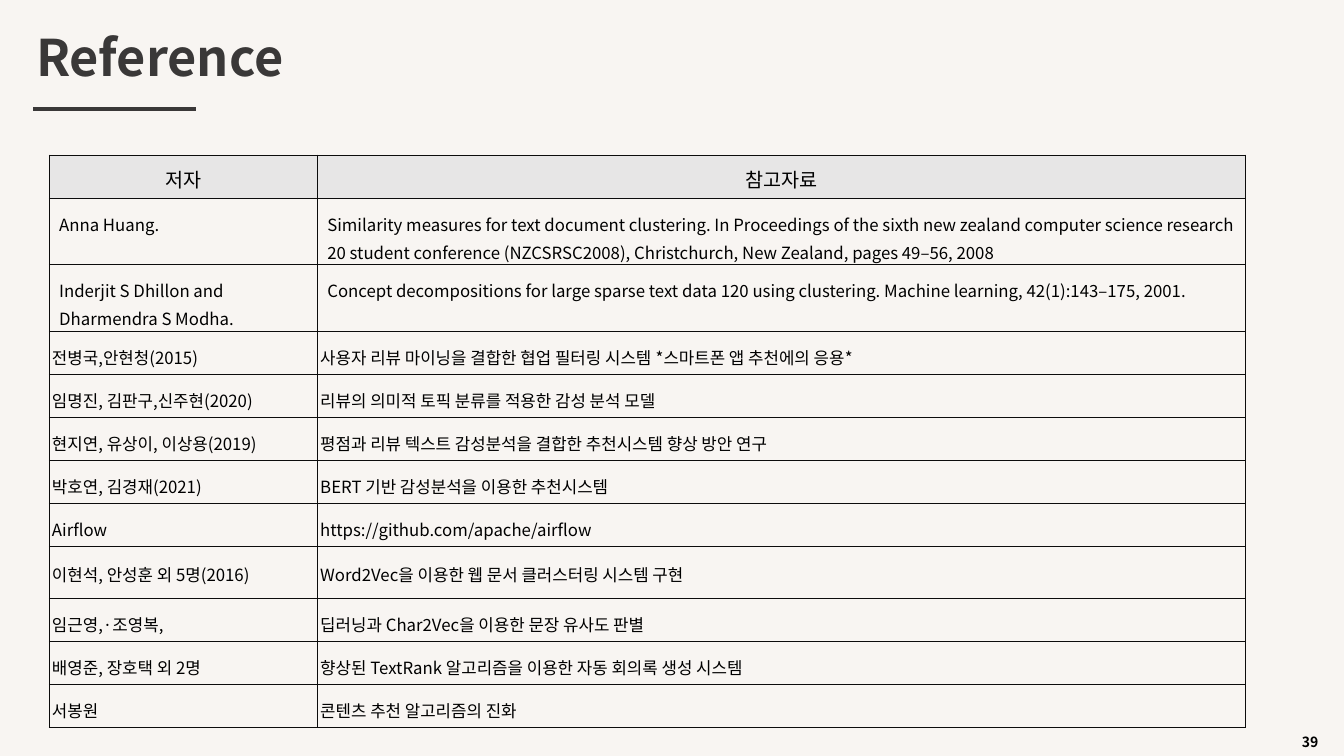
from lxml.etree import SubElement
from pptx import Presentation
from pptx.dml.color import RGBColor
from pptx.enum.shapes import MSO_CONNECTOR
from pptx.enum.text import MSO_ANCHOR, PP_ALIGN
from pptx.oxml import parse_xml
from pptx.oxml.ns import nsdecls, qn
from pptx.util import Cm, Pt

FONT = "Noto Sans CJK KR"
DARK = "3A3838"
BLACK = "000000"


def rgb(hex_color):
    return RGBColor.from_string(hex_color)


def write(frame, text, size, color=BLACK, bold=False, spacing=None):
    """Fill a text frame with one paragraph, in FONT for Latin and Korean."""
    frame.word_wrap = True
    paragraph = frame.paragraphs[0]
    paragraph.text = text
    if spacing:
        paragraph.line_spacing = spacing
    font = paragraph.font
    font.size, font.bold, font.name = Pt(size), bold, FONT
    font.color.rgb = rgb(color)
    defaults = paragraph._p.pPr.find(qn("a:defRPr"))
    SubElement(defaults, qn("a:ea")).set("typeface", FONT)
    return paragraph


presentation = Presentation()
presentation.slide_width = Cm(33.87)
presentation.slide_height = Cm(19.05)
slide = presentation.slides.add_slide(presentation.slide_layouts[6])
slide.background.fill.solid()
slide.background.fill.fore_color.rgb = rgb("F8F5F2")

# Page number and title
page_number = slide.shapes.add_textbox(Cm(32.56), Cm(18.36), Cm(1.3), Cm(0.69))
write(page_number.text_frame, "39", 10, bold=True)

title = slide.shapes.add_textbox(Cm(0.66), Cm(0.71), Cm(22.02), Cm(2.26))
write(title.text_frame, "Reference", 36, DARK, bold=True, spacing=0.9)

title_rule = slide.shapes.add_connector(
    MSO_CONNECTOR.STRAIGHT, Cm(0.84), Cm(2.74), Cm(4.95), Cm(2.74))
title_rule.line.color.rgb = rgb(DARK)
title_rule.line.width = Pt(2.75)
SubElement(title_rule._element.spPr, qn("a:effectLst"))

# Reference table: row height in cm, author, source
references = [
    (1.09, "저자", "참고자료"),
    (1.3, "Anna Huang.",
     "Similarity measures for text document clustering. In Proceedings of the sixth "
     "new zealand computer science research 20 student conference (NZCSRSC2008), "
     "Christchurch, New Zealand, pages 49–56, 2008"),
    (1.47, "Inderjit S Dhillon and Dharmendra S Modha.",
     "Concept decompositions for large sparse text data 120 using clustering. "
     "Machine learning, 42(1):143–175, 2001."),
    (1.07, "전병국,안현청(2015)",
     "사용자 리뷰 마이닝을 결합한 협업 필터링 시스템 *스마트폰 앱 추천에의 응용*"),
    (1.07, "임명진, 김판구,신주현(2020)", "리뷰의 의미적 토픽 분류를 적용한 감성 분석 모델"),
    (1.07, "현지연, 유상이, 이상용(2019)",
     "평점과 리뷰 텍스트 감성분석을 결합한 추천시스템 향상 방안 연구"),
    (1.07, "박호연, 김경재(2021)", "BERT 기반 감성분석을 이용한 추천시스템"),
    (1.07, "Airflow", "https://github.com/apache/airflow"),
    (1.32, "이현석, 안성훈 외 5명(2016)", "Word2Vec을 이용한 웹 문서 클러스터링 시스템 구현"),
    (0.94, "임근영,·조영복,", "딥러닝과 Char2Vec을 이용한 문장 유사도 판별"),
    (0.94, "배영준, 장호택 외 2명", "향상된 TextRank 알고리즘을 이용한 자동 회의록 생성 시스템"),
    (0.94, "서봉원", "콘텐츠 추천 알고리즘의 진화"),
]
total_height = sum(height for height, *_ in references)
table = slide.shapes.add_table(
    len(references), 2, Cm(1.24), Cm(3.91), Cm(30.15), Cm(total_height)).table
table.first_row = table.horz_banding = False
table.columns[0].width = Cm(6.76)
table.columns[1].width = Cm(23.39)

for row, (height, *texts) in enumerate(references):
    table.rows[row].height = Cm(height)
    is_header = row == 0
    is_compact = row > 2
    for column, text in enumerate(texts):
        cell = table.cell(row, column)
        cell.margin_top = cell.margin_bottom = Cm(0.25)
        cell.margin_left = cell.margin_right = Cm(0.07 if is_compact else 0.25)
        cell.vertical_anchor = MSO_ANCHOR.MIDDLE if is_compact else MSO_ANCHOR.TOP
        entry = write(cell.text_frame, text, 14 if is_header else 12,
                      spacing=None if is_header else 1.15)
        properties = cell._tc.get_or_add_tcPr()
        for edge in ("lnL", "lnR", "lnT", "lnB"):
            properties.append(parse_xml(
                f'<a:{edge} {nsdecls("a")} w="{Pt(0.75)}"><a:solidFill>'
                f'<a:srgbClr val="0C0C0C"/></a:solidFill></a:{edge}>'))
        if is_header:
            entry.alignment = PP_ALIGN.CENTER
            cell.fill.solid()
            cell.fill.fore_color.rgb = rgb("E7E6E6")
        else:
            cell.fill.background()

presentation.save("out.pptx")
